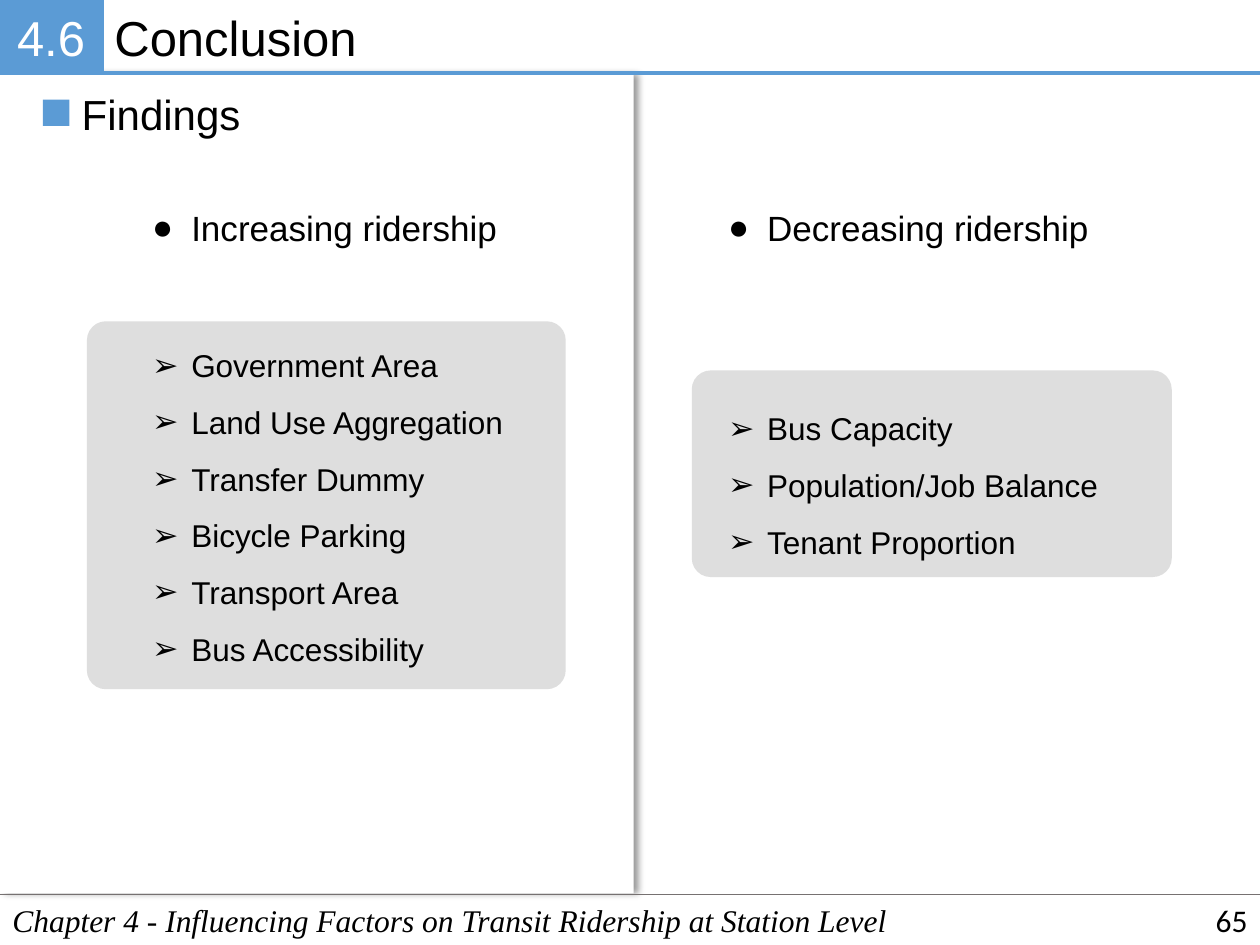
from lxml import etree
from pptx import Presentation
from pptx.dml.color import RGBColor
from pptx.enum.shapes import MSO_CONNECTOR, MSO_SHAPE
from pptx.enum.text import MSO_ANCHOR, PP_ALIGN
from pptx.oxml.ns import qn
from pptx.util import Inches, Pt

RECTANGLE, ROUNDED = MSO_SHAPE.RECTANGLE, MSO_SHAPE.ROUNDED_RECTANGLE
STRAIGHT = MSO_CONNECTOR.STRAIGHT
MIDDLE = MSO_ANCHOR.MIDDLE
LEFT, CENTER, RIGHT = PP_ALIGN.LEFT, PP_ALIGN.CENTER, PP_ALIGN.RIGHT

SECTION, TITLE, TOPIC = "4.6", "Conclusion", "Findings"
CHAPTER = "Chapter 4 - Influencing Factors on Transit Ridership at Station Level"
PAGE = "65"
COLUMNS = [
    {"heading": "Increasing ridership", "left": 1.11, "list_top": 2.55,
     "panel": (0.69, 2.55, 3.8, 2.92),
     "factors": ["Government Area", "Land Use Aggregation", "Transfer Dummy",
                 "Bicycle Parking", "Transport Area", "Bus Accessibility"]},
    {"heading": "Decreasing ridership", "left": 5.68, "list_top": 3.05,
     "panel": (5.49, 2.94, 3.81, 1.64),
     "factors": ["Bus Capacity", "Population/Job Balance", "Tenant Proportion"]},
]

WIDTH, HEIGHT = 10, 7.5
HEADER, FOOTER = 0.58, 7.1
BADGE_WIDTH = 0.81
FOOTER_HEIGHT = HEIGHT - FOOTER
LIST_WIDTH, LINE_HEIGHT = 3.41, 0.45
HEADING_TOP, HEADING_HEIGHT = 1.59, 0.44
INDENT, CORNER = 0.31, 0.15
BLUE, GRAY, RULE = "5B9BD5", "7F7F7F", "767171"
BLACK, WHITE = "000000", "FFFFFF"


def color(value):
    return RGBColor.from_string(value)


def set_alpha(parent, percent):
    """Give the colour inside an XML element an opacity."""
    rgb = next(parent.iter(qn("a:srgbClr")))
    etree.SubElement(rgb, qn("a:alpha"), val=str(percent * 1000))


def add_block(slide, kind, box, fill, line=None):
    shape = slide.shapes.add_shape(kind, *map(Inches, box))
    shape.shadow.inherit = False
    shape.fill.solid()
    shape.fill.fore_color.rgb = color(fill)
    if line:
        shape.line.color.rgb = color(line)
        shape.line.width = Pt(2.25)
    else:
        shape.line.fill.background()
    return shape


def add_panel(slide, box):
    panel = add_block(slide, ROUNDED, box, GRAY)
    panel.adjustments[0] = CORNER / min(box[2:])
    set_alpha(panel.fill._xPr.find(qn("a:solidFill")), 25)


def add_right_shadow(shape):
    effects = shape._element.spPr.find(qn("a:effectLst"))
    shadow = etree.SubElement(effects, qn("a:outerShdw"), blurRad=str(Pt(4)),
                              dist=str(Pt(3)), dir="0", algn="l", rotWithShape="0")
    etree.SubElement(shadow, qn("a:srgbClr"), val=BLACK)
    set_alpha(shadow, 40)


def add_rule(slide, left, top, line, width):
    rule = slide.shapes.add_connector(STRAIGHT, Inches(left), Inches(top),
                                      Inches(WIDTH), Inches(top))
    rule.line.color.rgb = color(line)
    rule.line.width = Pt(width)
    etree.SubElement(rule._element.spPr, qn("a:effectLst"))


def add_bullet(paragraph, bullet):
    properties = paragraph._p.get_or_add_pPr()
    properties.set("marL", str(Inches(INDENT)))
    properties.set("indent", str(-Inches(INDENT)))
    etree.SubElement(properties, qn("a:buFont"), typeface="Arial")
    etree.SubElement(properties, qn("a:buChar"), char=bullet)


def write(frame, lines, size, font="Arial", fill=BLACK, align=LEFT,
          italic=False, bullet=None, spacing=None):
    for index, line in enumerate(lines):
        paragraph = frame.add_paragraph() if index else frame.paragraphs[0]
        paragraph.alignment = align
        if spacing:
            paragraph.line_spacing = spacing
        if bullet:
            add_bullet(paragraph, bullet)
        run = paragraph.add_run()
        run.text = line
        run.font.size, run.font.name = Pt(size), font
        run.font.italic = italic
        run.font.color.rgb = color(fill)


def add_text(slide, box, lines, size, anchor=None, wrap=True, **style):
    frame = slide.shapes.add_textbox(*map(Inches, box)).text_frame
    frame.word_wrap = wrap
    if anchor is not None:
        frame.vertical_anchor = anchor
    write(frame, lines, size, **style)


def add_header(slide):
    add_text(slide, (BADGE_WIDTH, 0.01, WIDTH - BADGE_WIDTH, 0.57), [TITLE], 28)
    badge = add_block(slide, RECTANGLE, (0, 0, BADGE_WIDTH, HEADER), BLUE, BLUE)
    frame = badge.text_frame
    frame.margin_left = frame.margin_right = Inches(0.06)
    frame.margin_top = frame.margin_bottom = Inches(0.06)
    frame.vertical_anchor = MIDDLE
    write(frame, [SECTION], 28, fill=WHITE, align=CENTER)
    add_rule(slide, BADGE_WIDTH, HEADER, BLUE, 2.25)


def add_footer(slide):
    add_text(slide, (0, FOOTER, WIDTH, FOOTER_HEIGHT), [CHAPTER], 18,
             font="Times New Roman", italic=True)
    add_text(slide, (7.75, FOOTER, 2.25, FOOTER_HEIGHT), [PAGE], 18,
             anchor=MIDDLE, font="Calibri", align=RIGHT)


def add_column(slide, column):
    left, factors = column["left"], column["factors"]
    add_text(slide, (left, HEADING_TOP, LIST_WIDTH, HEADING_HEIGHT),
             [column["heading"]], 20, bullet="●")
    add_text(slide, (left, column["list_top"], LIST_WIDTH,
                     0.1 + LINE_HEIGHT * len(factors)),
             factors, 18, bullet="➢", spacing=1.5)


def main():
    presentation = Presentation()
    presentation.slide_width, presentation.slide_height = Inches(WIDTH), Inches(HEIGHT)
    slide = presentation.slides.add_slide(presentation.slide_layouts[6])

    left_half = add_block(slide, RECTANGLE, (0, 0.59, 5.03, 6.5), WHITE)
    add_right_shadow(left_half)
    for column in COLUMNS:
        add_panel(slide, column["panel"])
    add_rule(slide, 0, FOOTER, RULE, 1)
    add_header(slide)
    add_footer(slide)
    add_block(slide, RECTANGLE, (0.34, 0.79, 0.21, 0.21), BLUE)
    add_text(slide, (0.55, 0.65, 1.48, 0.5), [TOPIC], 24, wrap=False)
    for column in COLUMNS:
        add_column(slide, column)
    presentation.save("out.pptx")


if __name__ == "__main__":
    main()
